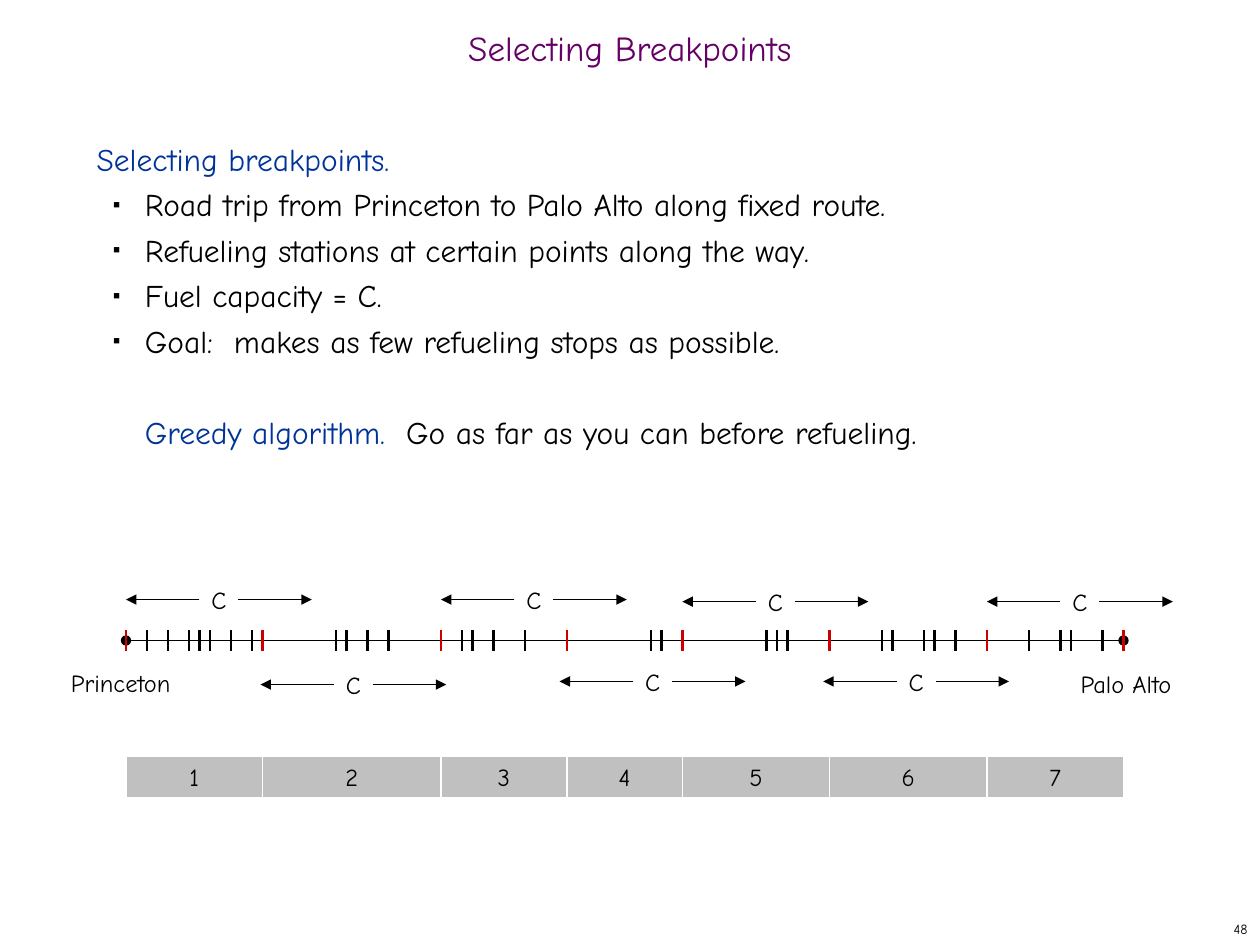
from dataclasses import dataclass
from itertools import pairwise

from lxml.etree import SubElement
from pptx import Presentation
from pptx.dml.color import RGBColor
from pptx.enum.shapes import MSO_CONNECTOR, MSO_SHAPE
from pptx.enum.text import MSO_ANCHOR, MSO_AUTO_SIZE, PP_ALIGN
from pptx.oxml.ns import qn
from pptx.util import Emu, Pt

PX = 7620  # EMU per px, 120 px to the inch
MILE = 10  # px per step of the route scale
FONT = "Comic Neue"
COLOURS = {
    "black": "000000",
    "white": "FFFFFF",
    "purple": "660066",
    "blue": "003399",
    "red": "CC0000",
    "grey": "C0C0C0",
}

ROUTE_Y = 610
TICK_HALF = 10
SEGMENT_TOP, SEGMENT_HEIGHT = 720, 40
ARROW_LENGTH, LABEL_WIDTH, LABEL_HEIGHT = 70, 37, 40

STOPS = [12, 25, 42, 54, 65, 79, 94, 107]
STATIONS = [14, 16, 18, 19, 20, 22, 24, 32, 33, 35, 37, 44, 45, 47, 50,
            62, 63, 73, 74, 75, 84, 85, 88, 89, 91, 98, 101, 102, 105]
FACTS = [
    "Road trip from Princeton to Palo Alto along fixed route.",
    "Refueling stations at certain points along the way.",
    "Fuel capacity = C.",
    "Goal:  makes as few refueling stops as possible.",
]


@dataclass(frozen=True)
class Box:
    left: int
    top: int
    width: int
    height: int

    def emu(self) -> list[Emu]:
        return [Emu(n * PX) for n in (self.left, self.top, self.width, self.height)]


@dataclass(frozen=True)
class TankRange:
    """Distance covered by one full tank, drawn at height y."""
    left: int
    y: int


TANK_RANGES = [
    TankRange(120, 571), TankRange(248, 652), TankRange(420, 571),
    TankRange(533, 649), TankRange(650, 573), TankRange(784, 649),
    TankRange(940, 573),
]


def colour(name: str) -> RGBColor:
    return RGBColor.from_string(COLOURS[name])


def format_span(span, size: int, name: str = "black") -> None:
    span.font.name = FONT
    span.font.size = Pt(size)
    span.font.color.rgb = colour(name)


def write(shape, text: str, size: int, align=PP_ALIGN.CENTER, name: str = "black", wrap: bool = False):
    """Put one vertically centred line of text in a shape."""
    frame = shape.text_frame
    frame.text = text
    frame.word_wrap = wrap
    frame.auto_size = MSO_AUTO_SIZE.NONE
    frame.vertical_anchor = MSO_ANCHOR.MIDDLE
    para = frame.paragraphs[0]
    para.alignment = align
    format_span(para.runs[0], size, name)
    return para


def place(shape, box: Box) -> None:
    shape.left, shape.top, shape.width, shape.height = box.emu()


def add_label(shapes, box: Box, text: str):
    label = shapes.add_textbox(*box.emu())
    write(label, text, 14)
    return label


def add_line(shapes, start: tuple[int, int], end: tuple[int, int], name: str = "black",
             width: float = 0.75, head: str = "", tail: str = ""):
    points = [Emu(n * PX) for n in (*start, *end)]
    line = shapes.add_connector(MSO_CONNECTOR.STRAIGHT, *points)
    line.line.color.rgb = colour(name)
    line.line.width = Pt(width)
    properties = line.element.spPr
    outline = properties.find(qn("a:ln"))
    for tag, kind in (("a:headEnd", head), ("a:tailEnd", tail)):
        if kind:
            SubElement(outline, qn(tag), type=kind)
    SubElement(properties, qn("a:effectLst"))
    return line


def add_tick(shapes, mile: int, name: str) -> None:
    x = mile * MILE
    add_line(shapes, (x, ROUTE_Y - TICK_HALF), (x, ROUTE_Y + TICK_HALF), name, 1.25)


def add_tank_range(shapes, tank: TankRange) -> None:
    group = shapes.add_group_shape().shapes
    label_left = tank.left + ARROW_LENGTH
    label_right = label_left + LABEL_WIDTH
    label = add_label(group, Box(label_left, tank.y - LABEL_HEIGHT // 2, LABEL_WIDTH, LABEL_HEIGHT), "C")
    for side, start, end in ((3, label_right, label_right + ARROW_LENGTH), (1, label_left, tank.left)):
        arrow = add_line(group, (start, tank.y), (end, tank.y), tail="triangle")
        arrow.begin_connect(label, side)


def add_segment(shapes, number: int, start: int, end: int) -> None:
    box = Box(start * MILE, SEGMENT_TOP, (end - start) * MILE, SEGMENT_HEIGHT)
    segment = shapes.add_shape(MSO_SHAPE.RECTANGLE, *box.emu())
    segment.shadow.inherit = False
    segment.fill.solid()
    segment.fill.fore_color.rgb = colour("grey")
    segment.line.color.rgb = colour("white")
    segment.line.width = Pt(0.75)
    write(segment, str(number), 14)


def add_body_para(para, spans: list[tuple[str, str]], margin: int, bullet: bool = False) -> None:
    para.line_spacing = Pt(26)
    para.space_before = Pt(0)
    for text, name in spans:
        span = para.add_run()
        span.text = text
        format_span(span, 18, name)
    properties = para._p.get_or_add_pPr()
    properties.set("marL", str(margin * PX))
    properties.set("indent", str(-30 * PX if bullet else 0))
    if bullet:
        para.level = 1
        SubElement(SubElement(properties, qn("a:buClr")), qn("a:srgbClr"), val=COLOURS["black"])
        SubElement(properties, qn("a:buSzPct"), val="35000")
        SubElement(properties, qn("a:buChar"), char="■")
    else:
        SubElement(properties, qn("a:buNone"))


def fill_body(body) -> None:
    place(body, Box(80, 120, 1030, 710))
    frame = body.text_frame
    frame.auto_size = MSO_AUTO_SIZE.NONE
    frame.vertical_anchor = MSO_ANCHOR.TOP
    add_body_para(frame.paragraphs[0], [("Selecting breakpoints.", "blue")], 0)
    for fact in FACTS:
        add_body_para(frame.add_paragraph(), [(fact, "black")], 46, bullet=True)
    greedy = frame.add_paragraph()
    add_body_para(greedy, [("Greedy algorithm.  ", "blue"),
                           ("Go as far as you can before refueling.", "black")], 46)
    greedy.space_before = Pt(26)


def main() -> None:
    deck = Presentation()
    deck.slide_width, deck.slide_height = Emu(1200 * PX), Emu(900 * PX)
    page = deck.slides.add_slide(deck.slide_layouts[1])
    shapes = page.shapes

    place(shapes.title, Box(0, 20, 1200, 60))
    write(shapes.title, "Selecting Breakpoints", 20, name="purple", wrap=True).line_spacing = 0.7
    fill_body(page.placeholders[1])
    page_number = shapes.add_textbox(*Box(950, 870, 250, 30).emu())
    write(page_number, "48", 8, PP_ALIGN.RIGHT, wrap=True)

    add_line(shapes, (STOPS[0] * MILE, ROUTE_Y), (STOPS[-1] * MILE, ROUTE_Y), head="oval", tail="oval")
    add_label(shapes, Box(55, 630, 120, 40), "Princeton")
    add_label(shapes, Box(1016, 631, 113, 40), "Palo Alto")
    for number, (start, end) in enumerate(pairwise(STOPS), 1):
        add_segment(shapes, number, start, end)
    for tank in TANK_RANGES:
        add_tank_range(shapes, tank)
    for mile in sorted(STOPS + STATIONS):
        add_tick(shapes, mile, "red" if mile in STOPS else "black")

    deck.save("out.pptx")


if __name__ == "__main__":
    main()
